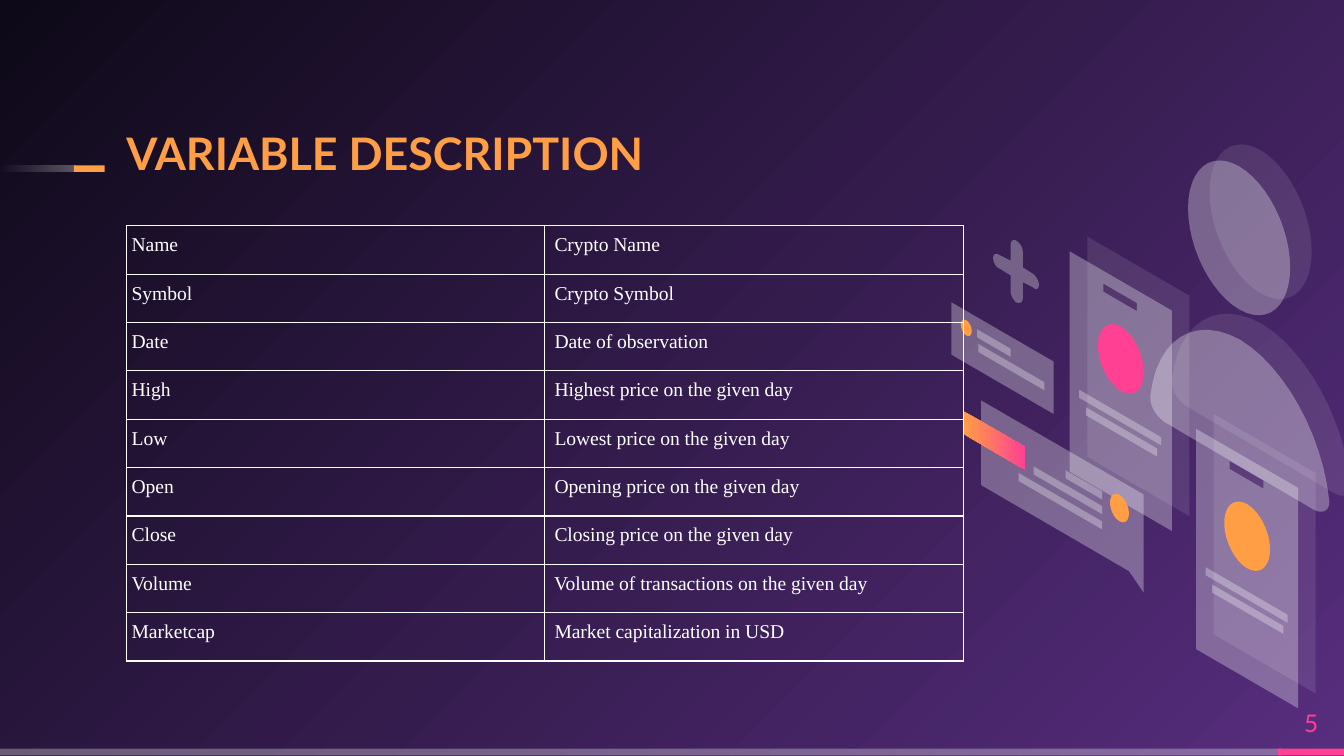
import dataclasses
import math

import lxml.etree
import pptx
import pptx.dml.color
import pptx.enum.shapes
import pptx.enum.text
import pptx.oxml.ns
import pptx.util

Inches = pptx.util.Inches
qn = pptx.oxml.ns.qn


@dataclasses.dataclass(frozen=True)
class Theme:
    white: str = "FFFFFF"
    orange: str = "FF9E44"
    pink: str = "FF4093"
    purple: str = "572D7E"
    night: str = "0E0918"
    glass: int = 30
    faint: int = 10
    heading_font: str = "Lato"
    table_font: str = "Times New Roman"
    title_size: float = 24
    number_size: float = 13
    table_size: float = 10.5


THEME = Theme()
SLOPE = 0.58  # drop per inch of width on the isometric faces
OVAL_RATIO = 1.4  # vertical to horizontal radius of the isometric circles

VARIABLES = [
    ("Name", " Crypto Name"),
    ("Symbol", " Crypto Symbol"),
    ("Date", " Date of observation"),
    ("High", " Highest price on the given day"),
    ("Low", " Lowest price on the given day"),
    ("Open", " Opening price on the given day"),
    ("Close", " Closing price on the given day"),
    ("Volume", " Volume of transactions on the given day"),
    ("Marketcap", " Market capitalization in USD"),
]

# Outlines: two numbers are a line end, six are a Bezier curve
BODY = [(9.23, 2.53), (8.89, 2.34, 8.61, 2.52, 8.56, 2.94),
        (8.55, 3.02, 8.61, 3.11, 8.68, 3.15), (9.77, 3.79),
        (9.84, 3.83, 9.9, 3.8, 9.89, 3.72), (9.84, 3.24, 9.56, 2.73, 9.23, 2.53)]
PLUS = [(7.56, 1.79), (7.59, 1.81, 7.61, 1.84, 7.61, 1.87), (7.61, 1.99), (7.69, 2.04),
        (7.71, 2.06, 7.73, 2.09, 7.73, 2.12), (7.73, 2.15, 7.71, 2.16, 7.69, 2.14),
        (7.61, 2.1), (7.61, 2.22), (7.61, 2.25, 7.59, 2.26, 7.56, 2.25),
        (7.54, 2.23, 7.52, 2.2, 7.52, 2.17), (7.52, 2.05), (7.44, 2),
        (7.41, 1.99, 7.39, 1.95, 7.39, 1.92), (7.39, 1.89, 7.41, 1.88, 7.44, 1.9),
        (7.52, 1.94), (7.52, 1.82), (7.52, 1.79, 7.54, 1.78, 7.56, 1.79)]
BUBBLE = [(8.51, 3.68), (7.3, 2.98), (7.3, 3.61), (8.4, 4.25), (8.51, 4.41)]


# Fills
def rgb(color):
    return pptx.dml.color.RGBColor.from_string(color)


def set_alpha(color_element, percent):
    if percent < 100:
        alpha = lxml.etree.SubElement(color_element, qn("a:alpha"))
        alpha.set("val", str(percent * 1000))


def fill_gradient(fill, start, end):
    fill.gradient()
    for stop, color in zip(fill.gradient_stops, (start, end)):
        stop.color.rgb = rgb(color)


def finish_shape(shape, colors, alphas):
    """Fill with one colour, or a horizontal gradient of two."""
    shape.shadow.inherit = False
    shape.line.fill.background()
    if len(colors) == 1:
        shape.fill.solid()
        shape.fill.fore_color.rgb = rgb(colors[0])
    else:
        fill_gradient(shape.fill, *colors)
        shape.fill.gradient_angle = 0
    for element, percent in zip(shape._element.spPr.iter(qn("a:srgbClr")), alphas):
        set_alpha(element, percent)


def set_background(slide):
    fill_gradient(slide.background.fill, THEME.purple, THEME.night)
    gradient = slide._element.find(".//" + qn("a:gradFill"))
    for linear in gradient.findall(qn("a:lin")):
        gradient.remove(linear)
    circle = lxml.etree.SubElement(gradient, qn("a:path"), {"path": "circle"})
    lxml.etree.SubElement(circle, qn("a:fillToRect"), {"l": "100000", "t": "100000"})


# Geometry
def flatten(outline, dx=0, dy=0, steps=12):
    points = [outline[0]]
    for segment in outline[1:]:
        if len(segment) == 2:
            points.append(segment)
            continue
        controls = [points[-1], segment[:2], segment[2:4], segment[4:]]
        for step in range(1, steps + 1):
            t = step / steps
            weights = [math.comb(3, k) * t**k * (1 - t) ** (3 - k) for k in range(4)]
            points.append(tuple(sum(w * c[axis] for w, c in zip(weights, controls))
                                for axis in (0, 1)))
    return [(x + dx, y + dy) for x, y in points]


def slanted_points(left, top, width, height):
    drop = width * SLOPE
    return [(left, top), (left + width, top + drop),
            (left + width, top + drop + height), (left, top + height)]


# Shapes
def add_bar(slide, left, top, width, height, colors, alphas=(100,)):
    shape = slide.shapes.add_shape(pptx.enum.shapes.MSO_SHAPE.RECTANGLE, Inches(left),
                                   Inches(top), Inches(width), Inches(height))
    finish_shape(shape, colors, alphas)


def add_outline(slide, *contours, colors=(THEME.white,), alpha=THEME.glass):
    contours = [[(Inches(x), Inches(y)) for x, y in points] for points in contours]
    builder = slide.shapes.build_freeform(*contours[0][0])
    builder.add_line_segments(contours[0][1:])
    for points in contours[1:]:
        builder.move_to(*points[0])
        builder.add_line_segments(points[1:])
    finish_shape(builder.convert_to_shape(), colors, (alpha,) * len(colors))


def add_slanted(slide, left, top, width, height, **style):
    add_outline(slide, slanted_points(left, top, width, height), **style)


def add_oval(slide, x, y, radius, color=THEME.white, alpha=100):
    angles = [math.tau * step / 48 for step in range(48)]
    points = [(x + radius * math.cos(a),
               y + radius * (OVAL_RATIO * math.sin(a) + SLOPE * math.cos(a))) for a in angles]
    add_outline(slide, points, colors=(color,), alpha=alpha)


def add_person(slide, dx, dy, alpha):
    add_outline(slide, flatten(BODY, dx, dy), alpha=alpha)
    add_oval(slide, 9.22 + dx, 1.77 + dy, 0.38, alpha=alpha)


def add_badge_card(slide, left, top, color):
    add_slanted(slide, left + 0.13, top - 0.11, 0.76, 1.64, alpha=THEME.faint)
    add_outline(slide, slanted_points(left, top, 0.76, 1.64),
                slanted_points(left + 0.25, top + 0.24, 0.25, 0.06))
    add_slanted(slide, left + 0.07, top + 1.03, 0.61, 0.06)
    add_slanted(slide, left + 0.12, top + 1.16, 0.53, 0.06)
    add_oval(slide, left + 0.38, top + 0.8, 0.17, color)


# Text and table
def format_text(paragraph, size, font, color, bold=False):
    for run in paragraph.runs:
        run.font.size = pptx.util.Pt(size)
        run.font.name = font
        run.font.bold = bold
        run.font.color.rgb = rgb(color)


def add_text(slide, text, left, top, width, height, anchor, size, color, bold=False):
    frame = slide.shapes.add_textbox(Inches(left), Inches(top), Inches(width),
                                     Inches(height)).text_frame
    frame.word_wrap = True
    frame.vertical_anchor = anchor
    frame.margin_left = frame.margin_right = frame.margin_top = frame.margin_bottom = 0
    frame.text = text
    format_text(frame.paragraphs[0], size, THEME.heading_font, color, bold)
    return frame.paragraphs[0]


def add_cell_borders(cell):
    properties = cell._tc.get_or_add_tcPr()
    for side in ("a:lnL", "a:lnR", "a:lnT", "a:lnB"):
        line = lxml.etree.SubElement(properties, qn(side), {"w": str(pptx.util.Pt(0.75))})
        solid = lxml.etree.SubElement(line, qn("a:solidFill"))
        lxml.etree.SubElement(solid, qn("a:srgbClr"), {"val": THEME.white})


def add_variable_table(slide):
    table = slide.shapes.add_table(len(VARIABLES), 2, Inches(0.94), Inches(1.68),
                                   Inches(6.23), Inches(3.24)).table
    table.first_row = table.horz_banding = False
    table.columns[0].width, table.columns[1].width = Inches(3.11), Inches(3.12)
    for row, texts in enumerate(VARIABLES):
        for column, text in enumerate(texts):
            cell = table.cell(row, column)
            add_cell_borders(cell)
            cell.fill.background()
            cell.margin_left = cell.margin_right = Inches(0.04)
            cell.margin_top = cell.margin_bottom = Inches(0.04)
            cell.text_frame.text = text
            paragraph = cell.text_frame.paragraphs[0]
            paragraph.line_spacing = 1.15
            format_text(paragraph, THEME.table_size, THEME.table_font, THEME.white)


def add_illustration(slide):
    # Person with its echo
    add_person(slide, 0.16, -0.12, THEME.faint)
    add_person(slide, 0, 0, THEME.glass)
    # Small message
    add_slanted(slide, 7.08, 2.25, 0.76, 0.39)
    add_oval(slide, 7.19, 2.44, 0.04, THEME.orange)
    add_slanted(slide, 7.27, 2.45, 0.25, 0.06)
    add_slanted(slide, 7.28, 2.56, 0.49, 0.06)
    # Badge cards
    add_badge_card(slide, 8.9, 3.19, THEME.orange)
    add_badge_card(slide, 7.96, 1.87, THEME.pink)
    # Speech bubble
    add_outline(slide, BUBBLE)
    add_slanted(slide, 7.17, 3.06, 0.46, 0.17, colors=(THEME.orange, THEME.pink), alpha=100)
    for left, top in ((7.93, 3.5), (7.69, 3.47), (7.58, 3.52)):
        add_slanted(slide, left, top, 8.2 - left, 0.06)
    add_oval(slide, 8.33, 3.78, 0.07, THEME.orange)
    add_outline(slide, flatten(PLUS))


def main():
    presentation = pptx.Presentation()
    presentation.slide_width = Inches(10)
    presentation.slide_height = Inches(10 * 9 / 16)
    slide = presentation.slides.add_slide(presentation.slide_layouts[6])
    set_background(slide)

    # Footer strip and title dash
    add_bar(slide, 0, 5.57, 9.54, 0.05, (THEME.white,), (THEME.glass,))
    add_bar(slide, 9.51, 5.57, 0.49, 0.05, (THEME.pink,))
    add_bar(slide, 0, 1.23, 0.56, 0.05, (THEME.white, THEME.white), (0, THEME.glass))
    add_bar(slide, 0.55, 1.23, 0.23, 0.05, (THEME.orange,))

    # Title and slide number
    anchors = pptx.enum.text.MSO_ANCHOR
    title = add_text(slide, "VARIABLE DESCRIPTION", 0.94, 0.91, 5.8, 0.43, anchors.BOTTOM,
                     THEME.title_size, THEME.orange, bold=True)
    title.line_spacing = 0.9
    number = add_text(slide, "5", 9.51, 5.19, 0.49, 0.38, anchors.MIDDLE,
                      THEME.number_size, THEME.pink)
    number.alignment = pptx.enum.text.PP_ALIGN.CENTER

    add_illustration(slide)
    add_variable_table(slide)
    presentation.save("out.pptx")


if __name__ == "__main__":
    main()
